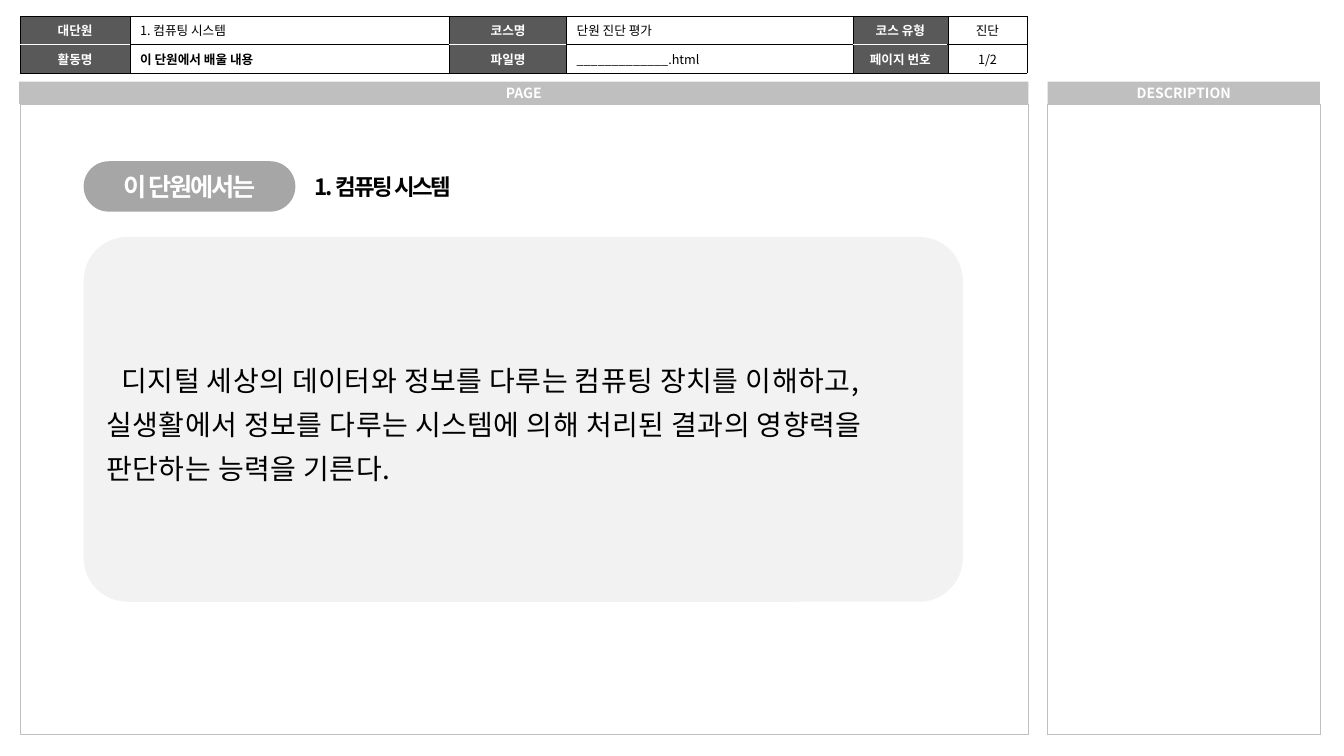
import pptx
import pptx.util
import pptx.dml.color
import pptx.enum.shapes
import pptx.enum.text
import pptx.oxml
import pptx.oxml.ns

RGBColor = pptx.dml.color.RGBColor
Inches = pptx.util.Inches
Pt = pptx.util.Pt
ALIGN = pptx.enum.text.PP_ALIGN
MIDDLE = pptx.enum.text.MSO_ANCHOR.MIDDLE
SHAPE = pptx.enum.shapes.MSO_SHAPE

INFO_LABELS = [
    ["대단원", "", "코스명", "", "코스 유형", ""],
    ["활동명", "", "파일명", "", "페이지 번호", ""],
]
INFO_VALUES = [
    ["", "1. 컴퓨팅 시스템", "", "단원 진단 평가", "", "진단"],
    ["", "이 단원에서 배울 내용", "", "_____________.html", "", "1/2"],
]
ACTIVITY_NAME = INFO_VALUES[1][1]
PANELS = [("PAGE", 0.2, 10, 0.01), ("DESCRIPTION", 10.39, 2.7, 0)]
BADGE = "이 단원에서는"
UNIT_TITLE = "1. 컴퓨팅 시스템"
GOAL = ("디지털 세상의 데이터와 정보를 다루는 컴퓨팅 장치를 이해하고, 실생활에서 정보를 다루는 "
        "시스템에 의해 처리된 결과의 영향력을 판단하는 능력을 기른다.")

FONT = "Noto Sans CJK KR"
NO_TABLE_STYLE = "{2D5ABB26-0587-4C30-8999-92F81FD0307C}"
BLACK = RGBColor(0x00, 0x00, 0x00)
WHITE = RGBColor(0xFF, 0xFF, 0xFF)
LABEL_GRAY = RGBColor(0x59, 0x59, 0x59)
BADGE_GRAY = RGBColor(0xA6, 0xA6, 0xA6)
BAR_GRAY = RGBColor(0xBF, 0xBF, 0xBF)
GOAL_GRAY = RGBColor(0xF2, 0xF2, 0xF2)

INFO_COLUMNS = [1.09, 3.17, 1.16, 2.84, 0.94, 0.79]
INFO_LEFT, INFO_TOP, INFO_ROW, INFO_HEIGHT = 0.2, 0.16, 0.16, 0.5
BAR_TOP, BAR_HEIGHT, PANEL_HEIGHT = 0.81, 0.22, 6.25
CONTENT_LEFT, CONTENT_WIDTH = 0.83, 8.72
BADGE_TOP, BADGE_WIDTH, BADGE_HEIGHT = 1.6, 2.1, 0.5
GOAL_TOP, GOAL_HEIGHT = 2.35, 3.62


def write(frame, text, size, color=BLACK, bold=False, align=ALIGN.LEFT,
          spacing=0, line_spacing=None, indent=0):
    paragraph = frame.paragraphs[0]
    paragraph.alignment = align
    if line_spacing:
        paragraph.line_spacing = line_spacing
    if indent:
        paragraph._p.get_or_add_pPr().set("indent", str(Inches(indent)))
    run = paragraph.add_run()
    run.text = text
    run.font.size = Pt(size)
    run.font.bold = bold
    run.font.color.rgb = color
    run.font.name = FONT
    properties = run._r.get_or_add_rPr()
    if spacing:
        properties.set("spc", str(int(spacing * 100)))
    east_asian = pptx.oxml.parse_xml(
        f'<a:ea {pptx.oxml.ns.nsdecls("a")} typeface="{FONT}"/>')
    properties.find(pptx.oxml.ns.qn("a:latin")).addnext(east_asian)


def add_block(kind, left, top, width, height, fill, outline=None, corner=None):
    block = slide.shapes.add_shape(
        kind, Inches(left), Inches(top), Inches(width), Inches(height))
    block.shadow.inherit = False
    block.fill.solid()
    block.fill.fore_color.rgb = fill
    if outline:
        block.line.color.rgb = outline
        block.line.width = Pt(0.25)
    else:
        block.line.fill.background()
    if corner is not None:
        block.adjustments[0] = corner
    block.text_frame.word_wrap = True
    block.text_frame.vertical_anchor = MIDDLE
    return block


def set_borders(cell, colors):
    properties = cell._tc.get_or_add_tcPr()
    for order, (side, color) in enumerate(colors.items()):
        properties.insert(order, pptx.oxml.parse_xml(
            f'<a:ln{side} {pptx.oxml.ns.nsdecls("a")} w="{Pt(0.25)}"><a:solidFill>'
            f'<a:srgbClr val="{color}"/></a:solidFill></a:ln{side}>'))


def add_info(rows, labels):
    frame = slide.shapes.add_table(
        len(rows), len(INFO_COLUMNS), Inches(INFO_LEFT), Inches(INFO_TOP),
        Inches(sum(INFO_COLUMNS)), Inches(INFO_HEIGHT))
    table = frame.table
    table.first_row = table.horz_banding = False
    table._tbl.tblPr.find(pptx.oxml.ns.qn("a:tableStyleId")).text = NO_TABLE_STYLE
    for column, width in zip(table.columns, INFO_COLUMNS):
        column.width = Inches(width)
    for row, entries in enumerate(rows):
        table.rows[row].height = Inches(INFO_ROW)
        for column, entry in enumerate(entries):
            cell = table.cell(row, column)
            cell.vertical_anchor = MIDDLE
            if labels and entry:
                cell.fill.solid()
                cell.fill.fore_color.rgb = LABEL_GRAY
            else:
                cell.fill.background()
            if labels:
                divider = WHITE if entry else BLACK
                set_borders(cell, {"L": BLACK, "R": BLACK,
                                   "T": divider if row else BLACK,
                                   "B": BLACK if row else divider})
            if entry:
                centred = labels or column == len(entries) - 1
                write(cell.text_frame, entry, 9, WHITE if labels else BLACK,
                      bold=labels or entry == ACTIVITY_NAME,
                      align=ALIGN.CENTER if centred else ALIGN.LEFT)
            else:
                cell.text_frame.paragraphs[0]._p.get_or_add_endParaRPr().set("sz", "900")
    frame.height = Inches(INFO_HEIGHT)


presentation = pptx.Presentation()
presentation.slide_width = Inches(13.33)
presentation.slide_height = Inches(7.5)
slide = presentation.slides.add_slide(presentation.slide_layouts[6])

for heading, left, width, overhang in PANELS:
    add_block(SHAPE.RECTANGLE, left, BAR_TOP + BAR_HEIGHT, width, PANEL_HEIGHT,
              WHITE, outline=BAR_GRAY)
    bar = add_block(SHAPE.ROUNDED_RECTANGLE, left - overhang, BAR_TOP,
                    width + overhang, BAR_HEIGHT, BAR_GRAY, corner=0)
    write(bar.text_frame, heading, 10, WHITE, bold=True, align=ALIGN.CENTER)

add_info(INFO_LABELS, labels=True)
add_info(INFO_VALUES, labels=False)

unit_title = slide.shapes.add_textbox(
    Inches(3.02), Inches(1.67), Inches(2.52), Inches(0.37))
unit_title.text_frame.word_wrap = True
write(unit_title.text_frame, UNIT_TITLE, 16, bold=True, spacing=-1.5)

badge = add_block(SHAPE.ROUNDED_RECTANGLE, CONTENT_LEFT, BADGE_TOP, BADGE_WIDTH,
                  BADGE_HEIGHT, BADGE_GRAY, corner=0.5)
write(badge.text_frame, BADGE, 18, WHITE, bold=True, align=ALIGN.CENTER, spacing=-1.5)

goal = add_block(SHAPE.ROUNDED_RECTANGLE, CONTENT_LEFT, GOAL_TOP, CONTENT_WIDTH,
                 GOAL_HEIGHT, GOAL_GRAY, corner=0.12)
write(goal.text_frame, GOAL, 20, spacing=0.3, line_spacing=1.3, indent=0.15)

presentation.save("out.pptx")
